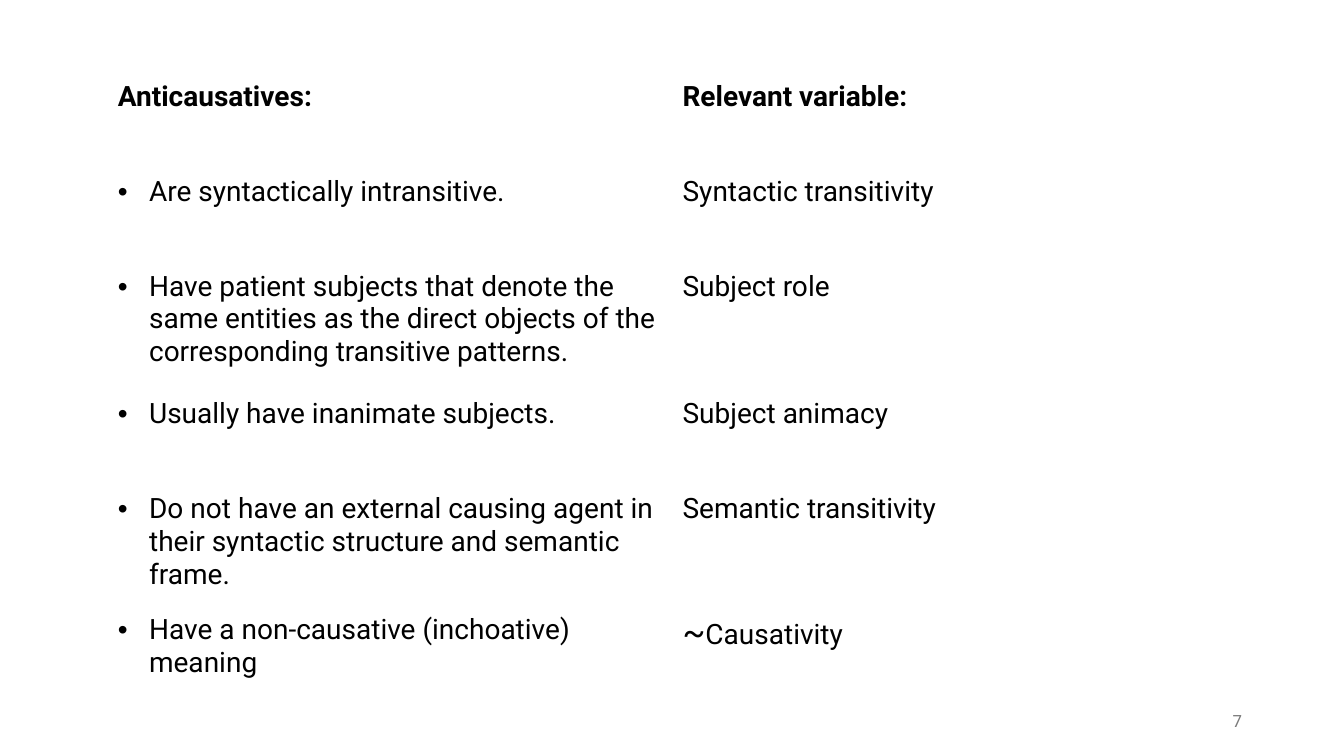
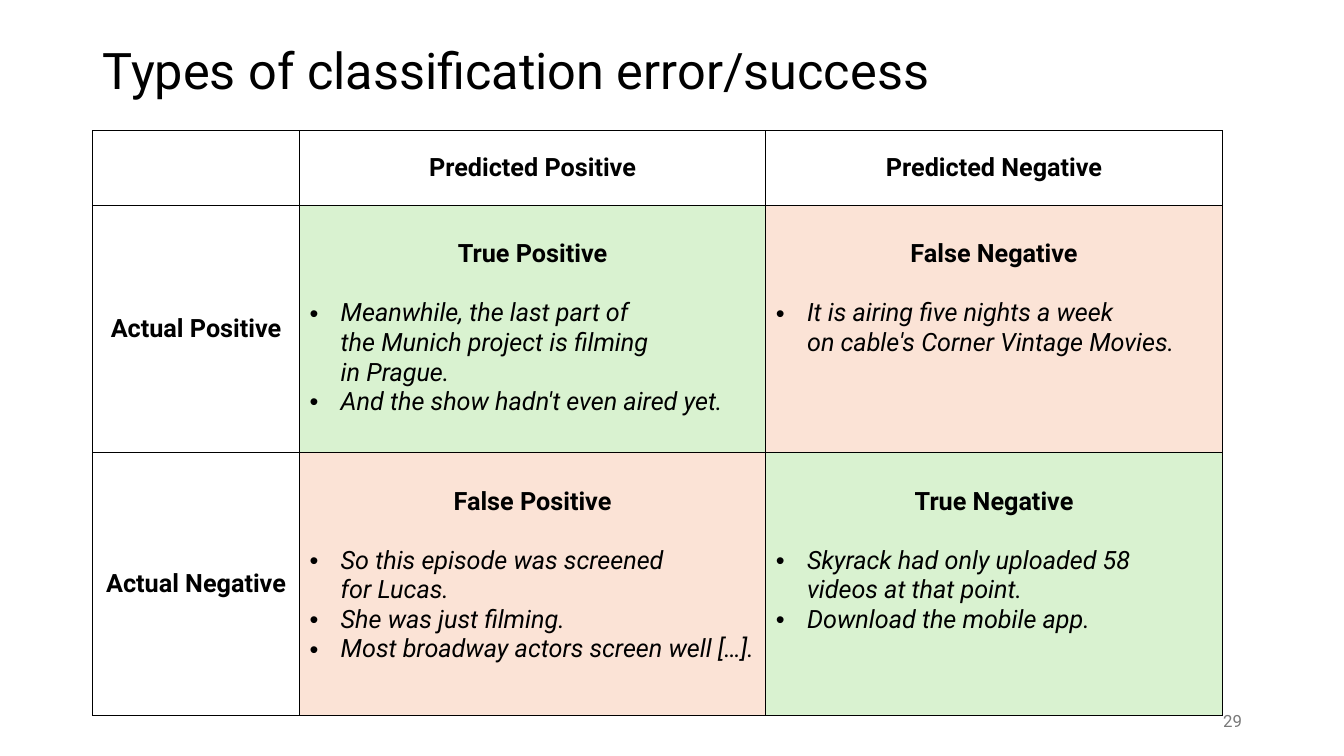
import dataclasses

import lxml.etree
import pptx
import pptx.dml.color
import pptx.enum.text
import pptx.oxml.ns
import pptx.presentation
import pptx.shapes.base
import pptx.slide
import pptx.table
import pptx.text.text
import pptx.util

RGBColor = pptx.dml.color.RGBColor
ALIGN = pptx.enum.text.PP_ALIGN
ANCHOR = pptx.enum.text.MSO_ANCHOR
qn = pptx.oxml.ns.qn

BLACK = RGBColor(0x00, 0x00, 0x00)
GREY = RGBColor(0x79, 0x79, 0x79)
GREEN = RGBColor(0xD9, 0xF2, 0xD0)
PEACH = RGBColor(0xFB, 0xE3, 0xD6)
FONT = "Roboto"
WIDTH = pptx.util.Inches(13.33)
HEIGHT = pptx.util.Inches(7.5)
HANG = pptx.util.Inches(0.31)
LEAD_SIZE = 24


@dataclasses.dataclass(frozen=True)
class Box:
    left: float
    top: float
    width: float
    height: float


@dataclasses.dataclass(frozen=True)
class Line:
    text: str
    size: int
    bold: bool = False
    italic: bool = False
    bullet: bool = False
    align: ALIGN = ALIGN.LEFT
    color: RGBColor = BLACK
    lead: str = ""
    space_after: int = 0


@dataclasses.dataclass(frozen=True)
class Cell:
    lines: tuple[Line, ...] = ()
    fill: RGBColor | None = None
    anchor: ANCHOR = ANCHOR.TOP
    margin_top: float = 0.05


@dataclasses.dataclass(frozen=True)
class Grid:
    left: float
    top: float
    columns: tuple[float, ...]
    rows: tuple[float, ...]
    bordered: bool = False


TITLE_BOX = Box(6.9, 5.33, 86.2, 8.8)
NUMBER_BOX = Box(70.65, 92.67, 22.5, 5.33)
VARIABLES_GRID = Grid(8.02, 10, (42.02,) * 2, (12.53, 12.53, 16.9, 12.53, 16, 12.53))
ERRORS_GRID = Grid(6.9, 17.3, (15.38, 34.7, 33.98), (9.87, 32.7, 34.8), True)

CRITERIA = (
    ("Are syntactically intransitive.", "Syntactic transitivity", ""),
    (
        "Have patient subjects that denote the same entities as the direct "
        "objects of the corresponding transitive patterns.",
        "Subject role",
        "",
    ),
    ("Usually have inanimate subjects.", "Subject animacy", ""),
    (
        "Do not have an external causing agent in their syntactic structure "
        "and semantic frame.",
        "Semantic transitivity",
        "",
    ),
    ("Have a non-causative (inchoative) meaning", "Causativity", "~"),
)


def across(percent: float) -> int:
    return round(WIDTH * percent / 100)


def down(percent: float) -> int:
    return round(HEIGHT * percent / 100)


def place(sp: pptx.shapes.base.BaseShape, box: Box) -> None:
    sp.left, sp.top = across(box.left), down(box.top)
    sp.width, sp.height = across(box.width), down(box.height)


def add_bullet(p: pptx.text.text._Paragraph) -> None:
    props = p._p.get_or_add_pPr()
    props.set("marL", str(HANG))
    props.set("indent", str(-HANG))
    lxml.etree.SubElement(props, qn("a:buFont"), typeface="Arial")
    lxml.etree.SubElement(props, qn("a:buChar"), char="•")


def write(tf: pptx.text.text.TextFrame, lines: tuple[Line, ...]) -> None:
    tf.word_wrap = True
    for i, line in enumerate(lines):
        p = tf.add_paragraph() if i else tf.paragraphs[0]
        if line.bullet:
            add_bullet(p)
        p.alignment = line.align
        p.space_after = pptx.util.Pt(line.space_after)
        p.font.name = FONT
        p.font.size = pptx.util.Pt(line.size)
        p.font.bold = line.bold
        p.font.italic = line.italic
        p.font.color.rgb = line.color
        if line.lead:
            r = p.add_run()
            r.text = line.lead
            r.font.size = pptx.util.Pt(LEAD_SIZE)
        for j, part in enumerate(line.text.split("\n")):
            if j:
                p.add_line_break()
            p.add_run().text = part


def add_borders(cell: pptx.table._Cell) -> None:
    props = cell._tc.get_or_add_tcPr()
    for i, side in enumerate(("a:lnL", "a:lnR", "a:lnT", "a:lnB")):
        ln = lxml.etree.Element(qn(side), w=str(pptx.util.Pt(1)))
        fill = lxml.etree.SubElement(ln, qn("a:solidFill"))
        lxml.etree.SubElement(fill, qn("a:srgbClr"), val=str(BLACK))
        props.insert(i, ln)


def add_grid(s: pptx.slide.Slide, grid: Grid, rows: list[tuple[Cell, ...]]) -> None:
    table = s.shapes.add_table(
        len(grid.rows),
        len(grid.columns),
        across(grid.left),
        down(grid.top),
        across(sum(grid.columns)),
        down(sum(grid.rows)),
    ).table
    table.first_row = table.horz_banding = False
    for column, width in zip(table.columns, grid.columns):
        column.width = across(width)
    for row, height, contents in zip(table.rows, grid.rows, rows):
        row.height = down(height)
        for cell, content in zip(row.cells, contents):
            if content.fill is None:
                cell.fill.background()
            else:
                cell.fill.solid()
                cell.fill.fore_color.rgb = content.fill
            if grid.bordered:
                add_borders(cell)
            cell.vertical_anchor = content.anchor
            cell.margin_top = pptx.util.Inches(content.margin_top)
            write(cell.text_frame, content.lines)


def add_number(s: pptx.slide.Slide, number: int) -> None:
    sp = s.shapes.add_textbox(0, 0, 0, 0)
    place(sp, NUMBER_BOX)
    sp.text_frame.vertical_anchor = ANCHOR.MIDDLE
    write(sp.text_frame, (Line(str(number), 12, align=ALIGN.RIGHT, color=GREY),))


def add_title(s: pptx.slide.Slide, text: str) -> None:
    sp = s.shapes.title
    place(sp, TITLE_BOX)
    sp.text_frame.vertical_anchor = ANCHOR.MIDDLE
    write(sp.text_frame, (Line(text, 36),))
    sp.text_frame.paragraphs[0].line_spacing = 0.9


def label(text: str) -> Cell:
    return Cell((Line(text, 18, bold=True, align=ALIGN.CENTER),), anchor=ANCHOR.MIDDLE)


def outcome(heading: str, fill: RGBColor, *examples: str) -> Cell:
    head = Line(heading, 18, bold=True, align=ALIGN.CENTER, space_after=21)
    items = tuple(Line(text, 18, italic=True, bullet=True) for text in examples)
    return Cell((head, *items), fill, margin_top=0.34)


def build_variables(prs: pptx.presentation.Presentation) -> None:
    s = prs.slides.add_slide(prs.slide_layouts[6])
    headings = ("Anticausatives:", "Relevant variable:")
    rows = [tuple(Cell((Line(text, 20, bold=True),)) for text in headings)]
    for criterion, variable, lead in CRITERIA:
        rows.append(
            (
                Cell((Line(criterion, 20, bullet=True),)),
                Cell((Line(variable, 20, lead=lead),)),
            )
        )
    add_grid(s, VARIABLES_GRID, rows)
    add_number(s, 7)


def build_errors(prs: pptx.presentation.Presentation) -> None:
    s = prs.slides.add_slide(prs.slide_layouts[5])
    add_title(s, "Types of classification error/success")
    rows = [
        (Cell(), label("Predicted Positive"), label("Predicted Negative")),
        (
            label("Actual Positive"),
            outcome(
                "True Positive",
                GREEN,
                "Meanwhile, the last part of\nthe Munich project is filming\nin Prague.",
                "And the show hadn't even aired yet.",
            ),
            outcome(
                "False Negative",
                PEACH,
                "It is airing five nights a week\non cable's Corner Vintage Movies.",
            ),
        ),
        (
            label("Actual Negative"),
            outcome(
                "False Positive",
                PEACH,
                "So this episode was screened\nfor Lucas.",
                "She was just filming.",
                "Most broadway actors screen well […].",
            ),
            outcome(
                "True Negative",
                GREEN,
                "Skyrack had only uploaded 58\nvideos at that point.",
                "Download the mobile app.",
            ),
        ),
    ]
    add_grid(s, ERRORS_GRID, rows)
    add_number(s, 29)


def main() -> None:
    prs = pptx.Presentation()
    prs.slide_width, prs.slide_height = WIDTH, HEIGHT
    build_variables(prs)
    build_errors(prs)
    prs.save("out.pptx")


if __name__ == "__main__":
    main()
